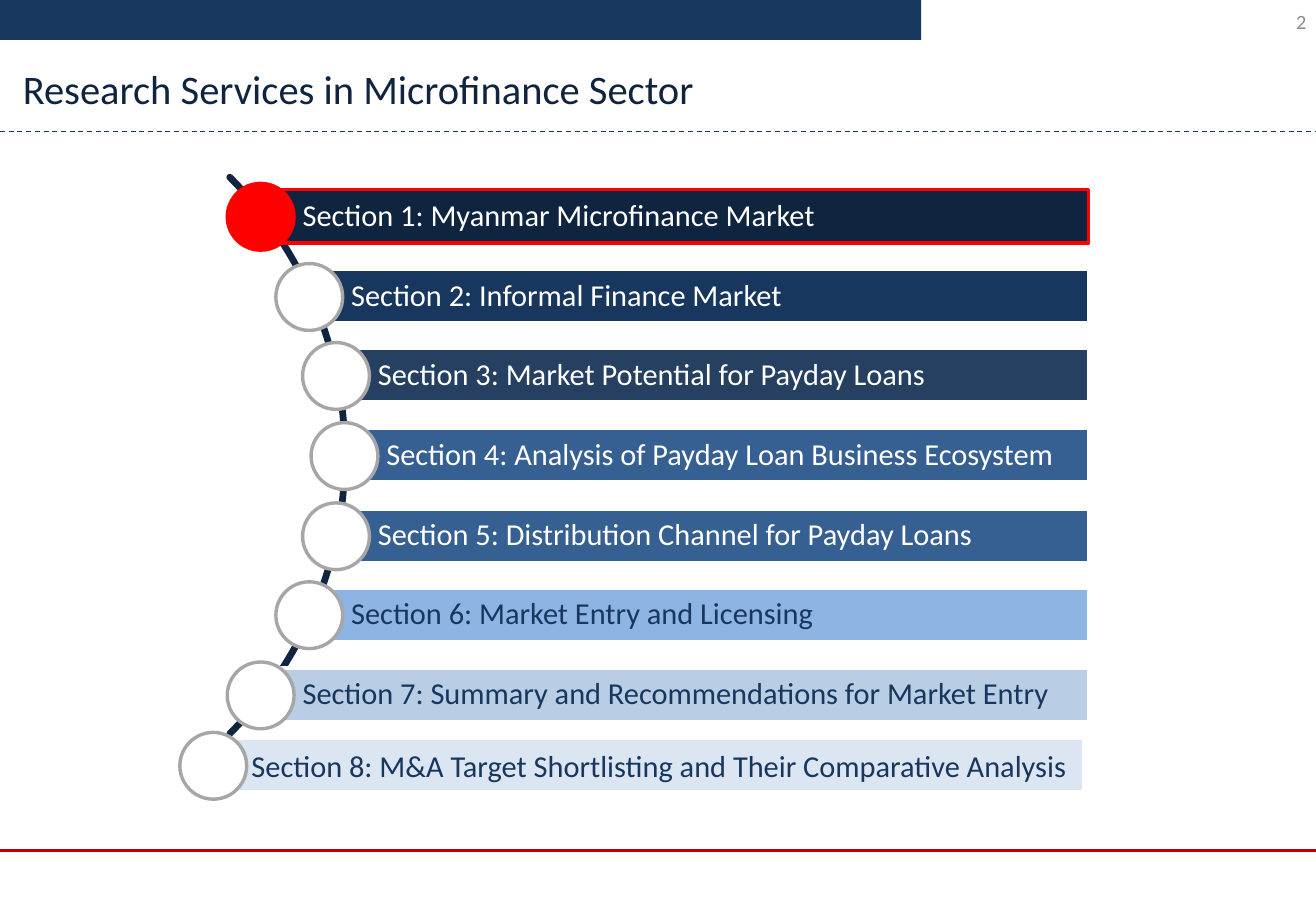
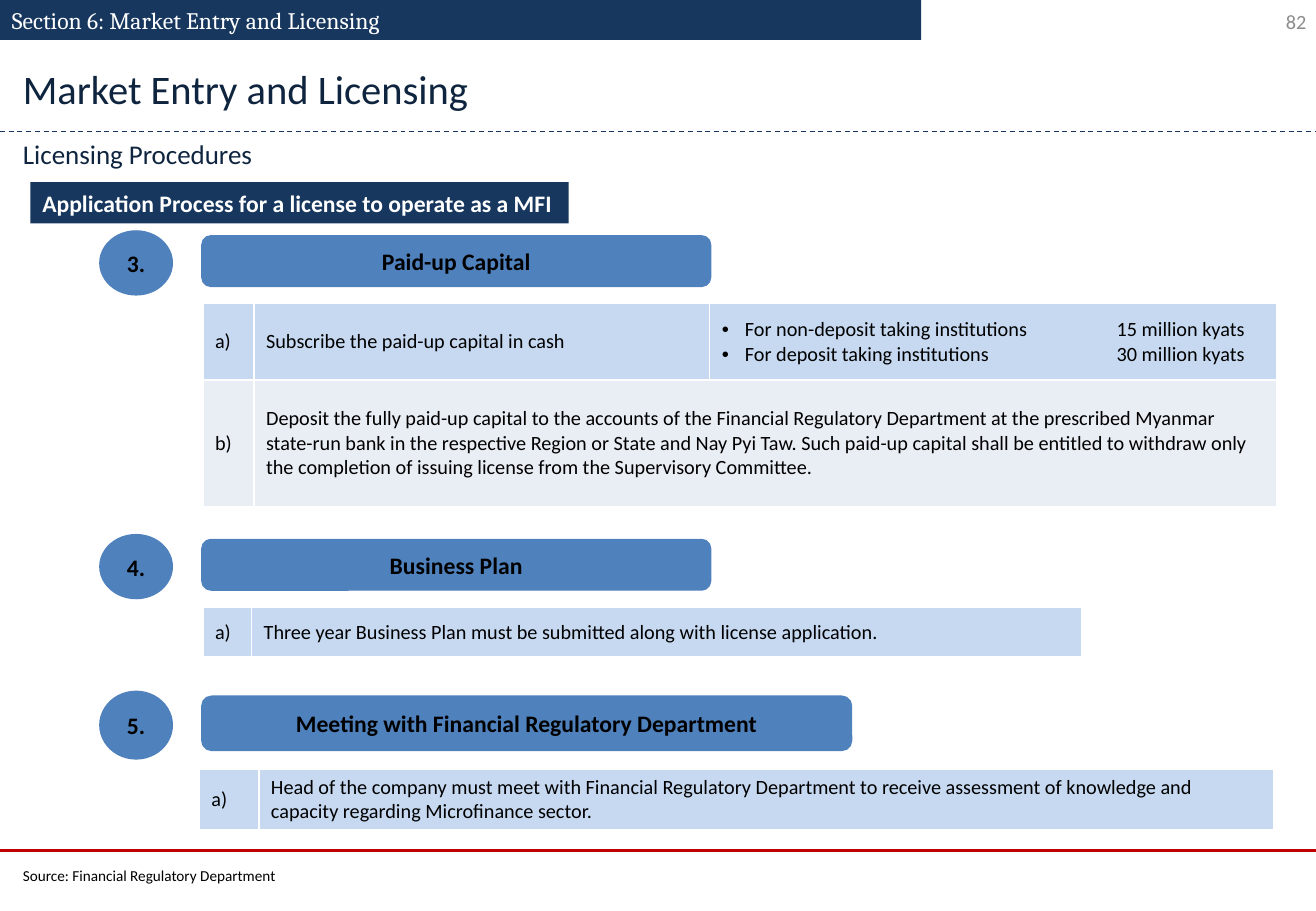
import math

from lxml import etree
from pptx import Presentation
from pptx.dml.color import RGBColor
from pptx.enum.dml import MSO_LINE
from pptx.enum.shapes import MSO_CONNECTOR, MSO_SHAPE
from pptx.enum.text import MSO_ANCHOR, PP_ALIGN
from pptx.oxml.ns import qn
from pptx.util import Pt

EMU_PER_PX = 9144  # 100 px to the inch
SLIDE_W, SLIDE_H = 1083, 750

RECT, ROUNDED, OVAL = MSO_SHAPE.RECTANGLE, MSO_SHAPE.ROUNDED_RECTANGLE, MSO_SHAPE.OVAL
STRAIGHT, DASH = MSO_CONNECTOR.STRAIGHT, MSO_LINE.DASH
LEFT, CENTER, RIGHT = PP_ALIGN.LEFT, PP_ALIGN.CENTER, PP_ALIGN.RIGHT
TOP, MIDDLE = MSO_ANCHOR.TOP, MSO_ANCHOR.MIDDLE

WHITE = RGBColor(0xFF, 0xFF, 0xFF)
BLACK = RGBColor(0x00, 0x00, 0x00)
RED = RGBColor(0xFF, 0x00, 0x00)
FOOT_RED = RGBColor(0xC0, 0x00, 0x00)
GREY = RGBColor(0xA6, 0xA6, 0xA6)
NUMBER_GREY = RGBColor(0x8C, 0x8C, 0x8C)
INK = RGBColor(0x0F, 0x24, 0x3E)
NAVY = RGBColor(0x17, 0x37, 0x5E)
SLATE = RGBColor(0x25, 0x40, 0x61)
STEEL = RGBColor(0x37, 0x60, 0x92)
SKY = RGBColor(0x8E, 0xB4, 0xE3)
PALE = RGBColor(0xB9, 0xCD, 0xE5)
MIST = RGBColor(0xDC, 0xE6, 0xF2)
STEP_BLUE = RGBColor(0x4F, 0x81, 0xBD)
ROW_BLUE = RGBColor(0xC6, 0xD9, 0xF1)
ROW_GREY = RGBColor(0xE9, 0xED, 0xF4)

# left edge of the bar, fill, text colour, wording
SECTIONS = [
    (214, INK, WHITE, "Section 1: Myanmar Microfinance Market"),
    (254, NAVY, WHITE, "Section 2: Informal Finance Market"),
    (276, SLATE, WHITE, "Section 3: Market Potential for Payday Loans"),
    (283, STEEL, WHITE, "Section 4: Analysis of Payday Loan Business Ecosystem"),
    (276, STEEL, WHITE, "Section 5: Distribution Channel for Payday Loans"),
    (254, SKY, NAVY, "Section 6: Market Entry and Licensing"),
    (214, PALE, NAVY, "Section 7: Summary and Recommendations for Market Entry"),
]
LAST_SECTION = "Section 8: M&A Target Shortlisting and Their Comparative Analysis"

PAID_UP_ROWS = [
    ["a)", "Subscribe the paid-up capital in cash",
     ["For non-deposit taking institutions\t15 million kyats",
      "For deposit taking institutions\t30 million kyats"]],
    ["b)", "Deposit the fully paid-up capital to the accounts of the Financial "
     "Regulatory Department at the prescribed Myanmar state-run bank in the "
     "respective Region or State and Nay Pyi Taw. Such paid-up capital shall be "
     "entitled to withdraw only the completion of issuing license from the "
     "Supervisory Committee.", None],
]
PLAN_ROWS = [["a)", "Three year Business Plan must be submitted along with "
              "license application."]]
MEETING_ROWS = [["a)", "Head of the company must meet with Financial Regulatory "
                 "Department to receive assessment of knowledge and capacity "
                 "regarding Microfinance sector."]]


def px(length):
    return round(length * EMU_PER_PX)


def box(left, top, width, height):
    return px(left), px(top), px(width), px(height)


def write(frame, text, size=12, color=BLACK, font="Calibri", bold=False,
          align=LEFT, anchor=MIDDLE, insets=(10, 5, 10, 5), spacing=None):
    """Fill a text frame; a list of texts becomes bulleted paragraphs."""
    bulleted = isinstance(text, list)
    frame.word_wrap = True
    frame.vertical_anchor = anchor
    frame.margin_left, frame.margin_top, frame.margin_right, frame.margin_bottom = map(px, insets)
    for index, line in enumerate(text if bulleted else [text]):
        paragraph = frame.add_paragraph() if index else frame.paragraphs[0]
        if bulleted:
            add_bullet(paragraph, indent=19, tab=325)
        paragraph.alignment = align
        if spacing:
            paragraph.line_spacing = spacing
        run = paragraph.add_run()
        run.text = line
        run.font.name, run.font.size, run.font.bold = font, Pt(size), bold
        run.font.color.rgb = color


def add_bullet(paragraph, indent, tab):
    properties = paragraph._p.get_or_add_pPr()
    properties.set("marL", str(px(indent)))
    properties.set("indent", str(-px(indent)))
    etree.SubElement(properties, qn("a:buFont"), typeface="Arial")
    etree.SubElement(properties, qn("a:buChar"), char="•")
    tabs = etree.SubElement(properties, qn("a:tabLst"))
    etree.SubElement(tabs, qn("a:tab"), pos=str(px(tab)), algn="l")


def add_text(slide, area, text, **style):
    write(slide.shapes.add_textbox(*box(*area)).text_frame, text, **style)


def add_block(slide, kind, area, fill, line=None, text=None, **style):
    block = slide.shapes.add_shape(kind, *box(*area))
    block.shadow.inherit = False
    block.fill.solid()
    block.fill.fore_color.rgb = fill
    if line is None:
        block.line.fill.background()
    else:
        block.line.color.rgb = line
        block.line.width = Pt(2)
    if text:
        write(block.text_frame, text, **style)


def add_rule(slide, top, color, width, dash=None):
    rule = slide.shapes.add_connector(STRAIGHT, 0, px(top), px(SLIDE_W), px(top))
    rule.line.color.rgb = color
    rule.line.width = Pt(width)
    if dash:
        rule.line.dash_style = dash
    etree.SubElement(rule._element.spPr, qn("a:effectLst"))


def add_page(deck, number, title):
    """Blank slide with the shared band, rules, page number and title."""
    slide = deck.slides.add_slide(deck.slide_layouts[6])
    add_text(slide, (832, 0, 251, 36), number, color=NUMBER_GREY, align=RIGHT,
             insets=(10, 5, 8, 5))
    add_rule(slide, 700, FOOT_RED, 1.5)
    add_block(slide, RECT, (0, 0, 758, 33), NAVY)
    add_rule(slide, 108, NAVY, 0.75, DASH)
    add_text(slide, (9, 48, 833, 50), title, size=24, color=INK, anchor=TOP)
    return slide


def add_arc(slide, center_x, center_y, radius):
    """Quarter circle facing right."""
    points = [(px(center_x + radius * math.cos(math.radians(angle))),
               px(center_y + radius * math.sin(math.radians(angle))))
              for angle in range(-45, 46)]
    builder = slide.shapes.build_freeform(*points[0])
    builder.add_line_segments(points[1:], close=False)
    arc = builder.convert_to_shape()
    arc.shadow.inherit = False
    arc.fill.background()
    arc.line.color.rgb = INK
    arc.line.width = Pt(4)
    arc.line._get_or_add_ln().set("cap", "rnd")


def add_section(slide, area, fill, color, text, current=False, indent=35, spacing=0.9):
    """Bar with a round marker on its left edge."""
    left, top, _, _ = area
    add_block(slide, RECT, area, fill, RED if current else WHITE, text, size=18,
              color=color, insets=(indent, 5, 5, 5), spacing=spacing)
    add_block(slide, OVAL, (left - 27, top - 5, 55, 55), RED if current else WHITE,
              RED if current else GREY)


def add_agenda(slide, top, right, pitch):
    add_arc(slide, -40, top + 219, 324)
    for index, (left, fill, color, text) in enumerate(SECTIONS):
        area = (left, round(top + index * pitch), right - left, 44)
        add_section(slide, area, fill, color, text, current=index == 0)
    add_section(slide, (175, top + 452, 717, 44), MIST, NAVY, LAST_SECTION,
                indent=32, spacing=None)


def add_step(slide, left, top, height, number, heading, heading_width):
    style = dict(size=14, bold=True, align=CENTER)
    add_block(slide, OVAL, (left, top, 58, height), STEP_BLUE, STEP_BLUE, number, **style)
    add_block(slide, ROUNDED, (left + 84, top + 4, heading_width, height - 11),
              STEP_BLUE, STEP_BLUE, heading, **style)


def set_borders(cell, color, width):
    properties = cell._tc.get_or_add_tcPr()
    for side in ("lnL", "lnR", "lnT", "lnB"):
        border = etree.SubElement(properties, qn("a:" + side), w=str(Pt(width)))
        fill = etree.SubElement(border, qn("a:solidFill"))
        etree.SubElement(fill, qn("a:srgbClr"), val=str(color))


def add_requirements(slide, left, top, widths, heights, rows):
    """Table of requirements; None joins a cell to the one on its left."""
    area = box(left, top, sum(widths), sum(heights))
    table = slide.shapes.add_table(len(rows), len(widths), *area).table
    table.first_row = table.horz_banding = False
    for column, width in zip(table.columns, widths):
        column.width = px(width)
    for r, (texts, height) in enumerate(zip(rows, heights)):
        table.rows[r].height = px(height)
        for c, text in enumerate(texts):
            cell = table.cell(r, c)
            set_borders(cell, WHITE, 1)
            cell.fill.solid()
            cell.fill.fore_color.rgb = ROW_GREY if r % 2 else ROW_BLUE
            if text is None:
                table.cell(r, c - 1).merge(cell)
                continue
            write(cell.text_frame, text)
            cell.vertical_anchor = MIDDLE
            cell.margin_left = cell.margin_right = px(10)
            cell.margin_top = cell.margin_bottom = px(5)


def build_agenda(deck):
    slide = add_page(deck, "2", "Research Services in Microfinance Sector")
    add_agenda(slide, top=156, right=896, pitch=65.67)


def build_licensing(deck):
    slide = add_page(deck, "82", "Market Entry and Licensing")
    add_text(slide, (0, 0, 758, 34), "Section 6: Market Entry and Licensing",
             size=14, color=WHITE, font="Cambria", anchor=TOP)
    add_text(slide, (9, 108, 999, 37), "Licensing Procedures", size=16, color=INK,
             anchor=TOP)
    add_block(slide, RECT, (25, 150, 443, 34), NAVY, None,
              "Application Process for a license to operate as a MFI",
              size=14, color=WHITE, bold=True)

    add_step(slide, 83, 191, 51, "3.", "Paid-up Capital", 417)
    add_requirements(slide, 167, 250, (42, 375, 467), (63, 104), PAID_UP_ROWS)
    add_step(slide, 83, 441, 51, "4.", "Business Plan", 417)
    add_requirements(slide, 167, 500, (40, 683), (41,), PLAN_ROWS)
    add_step(slide, 83, 570, 54, "5.", "Meeting with Financial Regulatory Department", 533)
    add_requirements(slide, 164, 633, (49, 835), (48,), MEETING_ROWS)

    add_text(slide, (9, 708, 250, 25), "Source: Financial Regulatory Department",
             size=9, anchor=TOP)


def main():
    deck = Presentation()
    deck.slide_width, deck.slide_height = px(SLIDE_W), px(SLIDE_H)
    build_agenda(deck)
    build_licensing(deck)
    deck.save("out.pptx")


if __name__ == "__main__":
    main()
